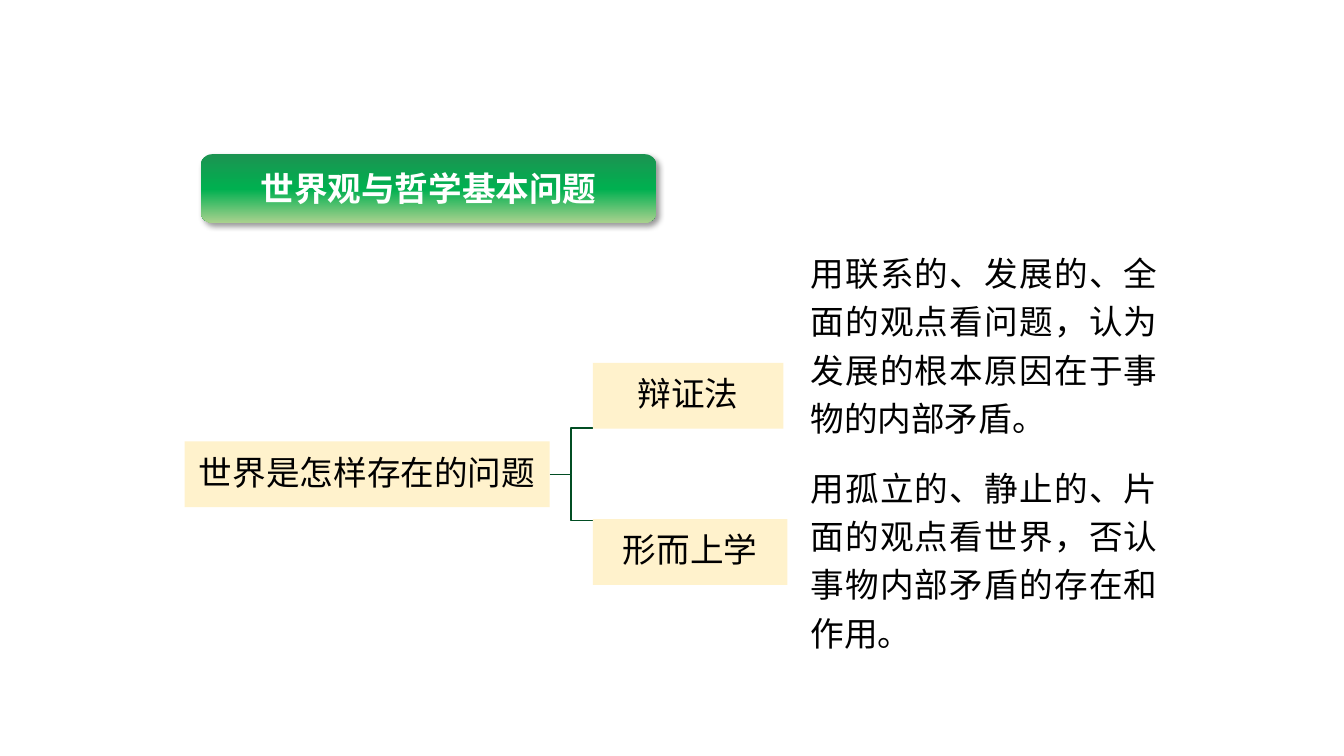
import dataclasses

import lxml.etree
import pptx
import pptx.dml.color
import pptx.enum.shapes
import pptx.enum.text
import pptx.oxml.ns
import pptx.shapes.autoshape
import pptx.slide
import pptx.util

SLIDE_WIDTH = pptx.util.Inches(13.33)
SLIDE_HEIGHT = pptx.util.Inches(7.5)
COLORS = {
    "title_top": "1B9451",
    "title_middle": "00B050",
    "title_bottom": "A9D18E",
    "title_text": "FFFFFF",
    "shadow": "000000",
    "branch": "014D23",
    "node": "FFF2CC",
    "text": "000000",
}
TITLE_STOPS = {0: "title_top", 51: "title_middle", 100: "title_bottom"}
SHAPES = pptx.enum.shapes.MSO_SHAPE
ALIGN = pptx.enum.text.PP_ALIGN
ANCHOR = pptx.enum.text.MSO_ANCHOR


@dataclasses.dataclass(frozen=True)
class Block:
    """A text with its place in percent of the slide's width and height."""

    text: str
    left: float
    top: float
    width: float
    height: float

    def bounds(self) -> tuple[int, int, int, int]:
        return (across(self.left), down(self.top),
                across(self.width), down(self.height))


TITLE = Block("世界观与哲学基本问题", 14.93, 20.4, 33.91, 9.07)
NODE_HEIGHT = 8.7
ROOT = Block("世界是怎样存在的问题", 13.73, 58.4, 27.16, NODE_HEIGHT)
BRANCHES = (
    Block("辩证法", 44.11, 48, 14.18, NODE_HEIGHT),
    Block("形而上学", 44.11, 68.67, 14.48, NODE_HEIGHT),
)
BRANCH_RISES = (-6.13, 6.13)
EXPLANATIONS = (
    Block("用联系的、发展的、全面的观点看问题，认为发展的根本原因在于事物的内部矛盾。",
          59.56, 31.73, 27.31, 27.2),
    Block("用孤立的、静止的、片面的观点看世界，否认事物内部矛盾的存在和作用。",
          59.56, 60.13, 27.31, 27.2),
)

NODE_FRAME = {
    "vertical_anchor": ANCHOR.MIDDLE,
    "word_wrap": True,
    **dict.fromkeys(("margin_left", "margin_top", "margin_right", "margin_bottom"),
                    pptx.util.Inches(0.01)),
}
NODE_PARAGRAPH = {"alignment": ALIGN.CENTER, "line_spacing": 0.9,
                  "space_after": pptx.util.Pt(8.4)}
EXPLANATION_FRAME = {"word_wrap": True,
                     "auto_size": pptx.enum.text.MSO_AUTO_SIZE.SHAPE_TO_FIT_TEXT}
EXPLANATION_PARAGRAPH = {"alignment": ALIGN.JUSTIFY, "line_spacing": 1.2}
BODY_FONT = {"name": "Arial", "size": pptx.util.Pt(24)}
TITLE_FONT = {"name": "Noto Sans CJK SC", "size": pptx.util.Pt(24), "bold": True}


def across(percent: float) -> int:
    return round(SLIDE_WIDTH * percent / 100)


def down(percent: float) -> int:
    return round(SLIDE_HEIGHT * percent / 100)


def color(name: str) -> pptx.dml.color.RGBColor:
    return pptx.dml.color.RGBColor.from_string(COLORS[name])


def apply_formats(target: object, formats: dict) -> None:
    for attribute, value in formats.items():
        setattr(target, attribute, value)


def write_text(shape: pptx.shapes.autoshape.Shape, text: str, frame: dict,
               paragraph_formats: dict, font: dict, color_name: str) -> None:
    apply_formats(shape.text_frame, frame)
    paragraph = shape.text_frame.paragraphs[0]
    apply_formats(paragraph, paragraph_formats)
    run = paragraph.add_run()
    run.text = text
    apply_formats(run.font, font)
    run.font.color.rgb = color(color_name)


def add_panel(slide: pptx.slide.Slide, block: Block,
              kind: SHAPES) -> pptx.shapes.autoshape.Shape:
    """Add an unlined shape without a shadow."""
    shape = slide.shapes.add_shape(kind, *block.bounds())
    shape.shadow.inherit = False
    shape.line.fill.background()
    return shape


def add_color(parent: lxml.etree._Element, name: str) -> lxml.etree._Element:
    return lxml.etree.SubElement(parent, pptx.oxml.ns.qn("a:srgbClr"), val=COLORS[name])


def add_title(slide: pptx.slide.Slide) -> None:
    qualify = pptx.oxml.ns.qn
    shape = add_panel(slide, TITLE, SHAPES.ROUNDED_RECTANGLE)
    shape.fill.gradient()
    shape.fill.gradient_angle = 270
    properties = shape.element.spPr
    stops = properties.find(".//" + qualify("a:gsLst"))
    for stop in list(stops):
        stops.remove(stop)
    for percent, name in TITLE_STOPS.items():
        stop = lxml.etree.SubElement(stops, qualify("a:gs"), pos=str(percent * 1000))
        add_color(stop, name)
    shadow = lxml.etree.SubElement(
        properties.find(qualify("a:effectLst")), qualify("a:outerShdw"),
        blurRad=str(pptx.util.Pt(4)), dist=str(pptx.util.Pt(3)),
        dir=str(45 * 60000), algn="tl", rotWithShape="0")
    lxml.etree.SubElement(add_color(shadow, "shadow"), qualify("a:alpha"), val="40000")
    write_text(shape, TITLE.text, {"vertical_anchor": ANCHOR.MIDDLE},
               {"alignment": ALIGN.CENTER}, TITLE_FONT, "title_text")


def add_branch_line(slide: pptx.slide.Slide, branch: Block, rise: float) -> None:
    start = ROOT.left + ROOT.width
    bend = (start + branch.left) / 2
    middle = ROOT.top + ROOT.height / 2
    builder = slide.shapes.build_freeform(across(start), down(middle))
    corners = ((bend, middle), (bend, middle + rise), (branch.left, middle + rise))
    builder.add_line_segments([(across(x), down(y)) for x, y in corners], close=False)
    line = builder.convert_to_shape()
    line.shadow.inherit = False
    line.fill.background()
    line.line.color.rgb = color("branch")
    line.line.width = pptx.util.Pt(1)


def add_node(slide: pptx.slide.Slide, block: Block) -> None:
    shape = add_panel(slide, block, SHAPES.RECTANGLE)
    shape.fill.solid()
    shape.fill.fore_color.rgb = color("node")
    write_text(shape, block.text, NODE_FRAME, NODE_PARAGRAPH, BODY_FONT, "text")


def add_explanation(slide: pptx.slide.Slide, block: Block) -> None:
    box = slide.shapes.add_textbox(*block.bounds())
    write_text(box, block.text, EXPLANATION_FRAME, EXPLANATION_PARAGRAPH,
               BODY_FONT, "text")


def main() -> None:
    presentation = pptx.Presentation()
    apply_formats(presentation, {"slide_width": SLIDE_WIDTH,
                                 "slide_height": SLIDE_HEIGHT})
    slide = presentation.slides.add_slide(presentation.slide_layouts[6])
    add_title(slide)
    for branch, rise in zip(BRANCHES, BRANCH_RISES):
        add_branch_line(slide, branch, rise)
    for node in (ROOT, *BRANCHES):
        add_node(slide, node)
    for explanation in EXPLANATIONS:
        add_explanation(slide, explanation)
    presentation.save("out.pptx")


if __name__ == "__main__":
    main()
